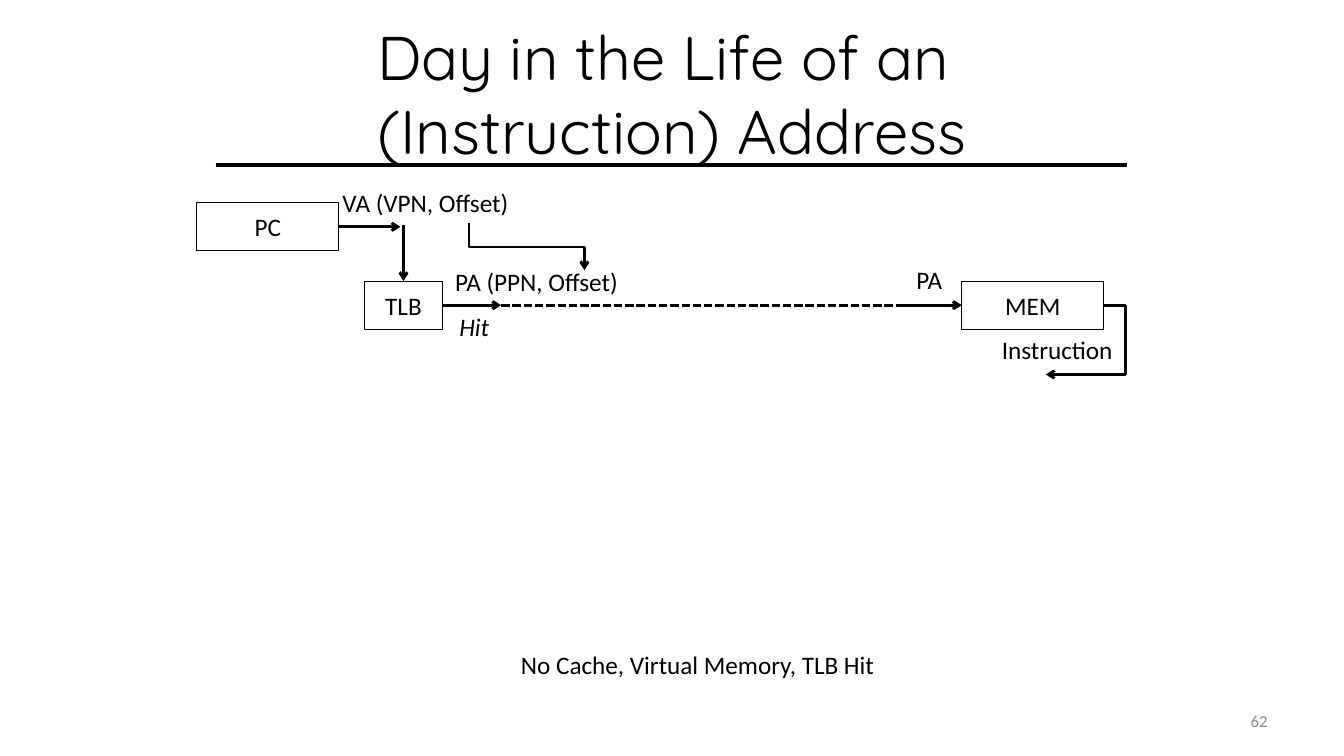
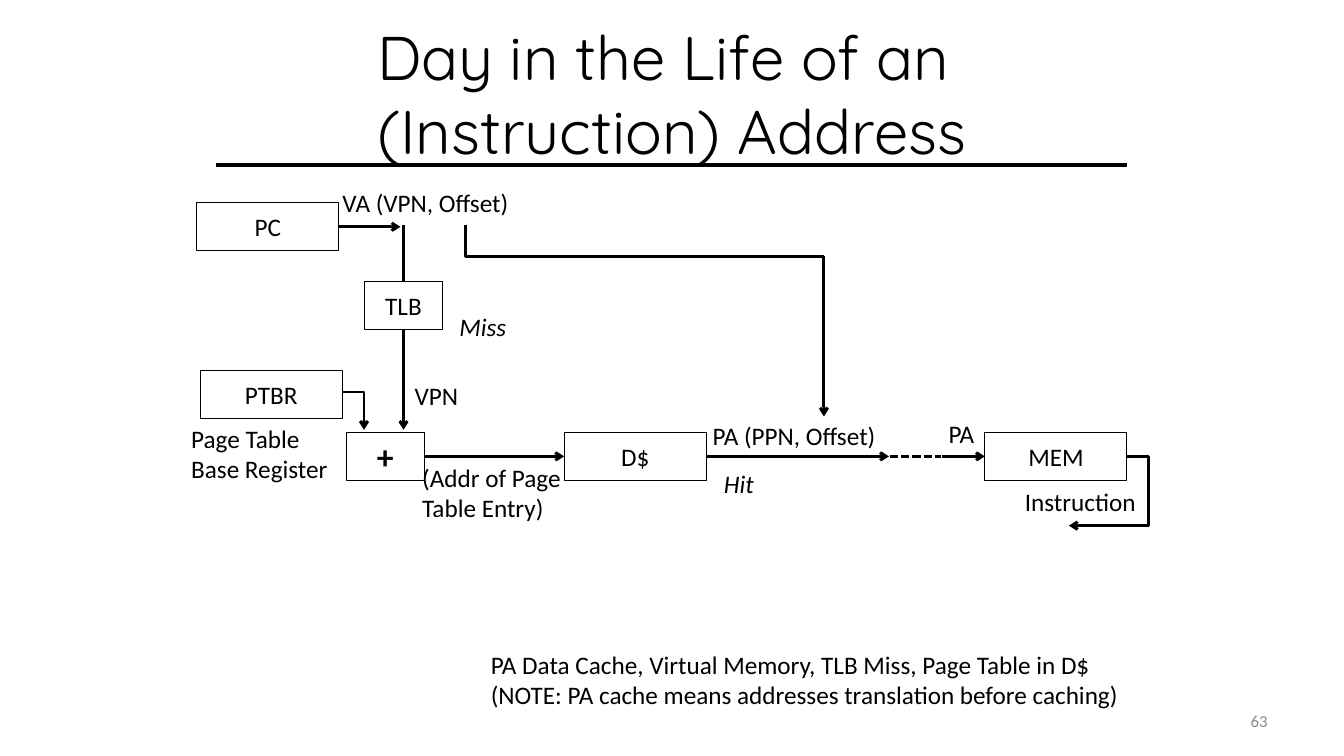
import pptx
import pptx.util
import pptx.dml.color
import pptx.enum.dml
import pptx.enum.shapes
import pptx.enum.text
import pptx.oxml.ns
import lxml.etree

Pt = pptx.util.Pt
ALIGN = pptx.enum.text.PP_ALIGN
MIDDLE = pptx.enum.text.MSO_ANCHOR.MIDDLE
FIT = pptx.enum.text.MSO_AUTO_SIZE
SHAPE = pptx.enum.shapes.MSO_SHAPE
STRAIGHT = pptx.enum.shapes.MSO_CONNECTOR.STRAIGHT
BLACK = pptx.dml.color.RGBColor(0x00, 0x00, 0x00)
GREY = pptx.dml.color.RGBColor(0x8C, 0x8C, 0x8C)
TITLE = "Day in the Life of an \v(Instruction) Address"
WIDE, SMALL, HIGH = 101.5, 55.5, 34.5
TOP, LEFT, BOTTOM, RIGHT = range(4)
PLAIN, HEAD, DASH = "plain", "head", "dash"


def write(frame, text, size=18, align=ALIGN.LEFT, color=BLACK, face="Calibri",
          bold=False, slant=False):
    frame.text = text
    for para in frame.paragraphs:
        para.alignment = align
        font = para.font
        font.name, font.size, font.color.rgb = face, Pt(size), color
        font.bold, font.italic = bold, slant


def stroke(shape, kind, width=2):
    """Style a line or open path, with an arrowhead or dashes by kind."""
    shape.line.color.rgb = BLACK
    shape.line.width = Pt(width)
    qn = pptx.oxml.ns.qn
    if kind == DASH:
        shape.line.dash_style = pptx.enum.dml.MSO_LINE.SQUARE_DOT
    if kind == HEAD:
        tail = lxml.etree.SubElement(shape.line._get_or_add_ln(), qn("a:tailEnd"))
        tail.set("type", "arrow")
    props = shape._element.spPr
    if props.find(qn("a:effectLst")) is None:
        lxml.etree.SubElement(props, qn("a:effectLst"))


# Boxes: name, left, middle height, width
# Labels: text, left, top, width, slanted
# Lines: start, end, kind; an end is a point or a box name with a side
# Bends: corner points of an arrow
pages = [
    {
        "page": "62",
        "mem": (687, 218),
        "boxes": [],
        "labels": [
            ("PA", 647.5, 185, 33, False),
            ("Hit", 321, 219, 36, True),
            ("No Cache, Virtual Memory, TLB Hit", 365, 460, 270, False),
            ("PA (PPN, Offset)", 318, 187, 132, False),
        ],
        "lines": [
            ((288.25, 160.5), ("TLB", TOP), HEAD),
            (("TLB", RIGHT), (358, 218), HEAD),
            ((358, 218), (644, 218), DASH),
            ((643, 218), ("MEM", LEFT), HEAD),
        ],
        "bends": [[(335, 159), (335, 176.5), (417.5, 176.5), (417.5, 193)]],
    },
    {
        "page": "63",
        "mem": (703.5, 326),
        "boxes": [
            ("PTBR", 143, 282, WIDE),
            ("+", 247.5, 326, SMALL),
            ("D$", 403, 326, WIDE),
        ],
        "labels": [
            ("(Addr of Page\vTable Entry)", 294.5, 326.5, 114.5, False),
            ("PA", 670.5, 295, 33, False),
            ("PA Data Cache, Virtual Memory, TLB Miss, Page Table in D$\n"
             "(NOTE: PA cache means addresses translation before caching)",
             343.5, 460, 468, False),
            ("Page Table\vBase Register", 129.5, 299, 113, False),
            ("VPN", 289, 268, 46, False),
            ("PA (PPN, Offset)", 502, 296.5, 132, False),
            ("Miss", 321, 219, 48, True),
            ("Hit", 510, 331, 36, True),
        ],
        "lines": [
            ((288.25, 160.5), ("TLB", TOP), PLAIN),
            (("TLB", BOTTOM), (288.25, 307), HEAD),
            (("+", RIGHT), ("D$", LEFT), HEAD),
            (("D$", RIGHT), (635, 326), HEAD),
            ((635.5, 326), (672, 326), DASH),
            ((673, 326), ("MEM", LEFT), HEAD),
        ],
        "bends": [
            [(244.5, 280), (260, 280), (260, 307)],
            [(332.5, 160.5), (332.5, 183.5), (588.5, 183.5), (588.5, 297.5)],
        ],
    },
]

deck = pptx.Presentation()
deck.slide_width, deck.slide_height = Pt(960), Pt(540)

for page in pages:
    slide = deck.slides.add_slide(deck.slide_layouts[5])
    shapes = slide.shapes
    mx, my = page["mem"]

    title = shapes.title
    title.left, title.top, title.width, title.height = Pt(48), Pt(21.5), Pt(864), Pt(90)
    title.text_frame.auto_size = FIT.NONE
    title.text_frame.vertical_anchor = MIDDLE
    write(title.text_frame, TITLE, 44, ALIGN.CENTER, face="Quicksand")
    rule = shapes.add_connector(STRAIGHT, Pt(154), Pt(118), Pt(805), Pt(118))
    stroke(rule, PLAIN, 3)

    foot = shapes.add_textbox(Pt(688.5), Pt(500.5), Pt(224), Pt(29)).text_frame
    foot.word_wrap = True
    foot.vertical_anchor = MIDDLE
    write(foot, page["page"], 12, ALIGN.RIGHT, GREY)

    boxes = {}
    shared = [("PC", 140.5, 162, WIDE), ("TLB", 260.5, 218, SMALL), ("MEM", mx, my, WIDE)]
    for name, left, mid, width in shared + page["boxes"]:
        box = shapes.add_shape(SHAPE.RECTANGLE, Pt(left), Pt(mid - HIGH / 2),
                               Pt(width), Pt(HIGH))
        box.shadow.inherit = False
        box.fill.background()
        box.line.color.rgb = BLACK
        box.line.width = Pt(0.75)
        box.text_frame.vertical_anchor = MIDDLE
        plus = name == "+"
        write(box.text_frame, name, 24 if plus else 18, ALIGN.CENTER, bold=plus)
        boxes[name] = box

    shared = [
        ("VA (VPN, Offset)", 237.5, 130.5, 134, False),
        ("Instruction", mx + 21.5, my + 17.5, 94.5, False),
    ]
    for text, left, top, width, slant in shared + page["labels"]:
        rows = len(text.splitlines())
        label = shapes.add_textbox(Pt(left), Pt(top), Pt(width), Pt(7 + 22 * rows))
        label.text_frame.word_wrap = False
        label.text_frame.auto_size = FIT.SHAPE_TO_FIT_TEXT
        write(label.text_frame, text, slant=slant)

    for start, end, kind in [(("PC", RIGHT), (286, 162), HEAD)] + page["lines"]:
        line = shapes.add_connector(STRAIGHT, 0, 0, 0, 0)
        if start[0] in boxes:
            line.begin_connect(boxes[start[0]], start[1])
        else:
            line.begin_x, line.begin_y = Pt(start[0]), Pt(start[1])
        if end[0] in boxes:
            line.end_connect(boxes[end[0]], end[1])
        else:
            line.end_x, line.end_y = Pt(end[0]), Pt(end[1])
        stroke(line, kind)

    fetch = [(mx + WIDE, my), (mx + 117, my), (mx + 117, my + 49.5), (mx + 60, my + 49.5)]
    for bend in [fetch] + page["bends"]:
        spots = [(Pt(x), Pt(y)) for x, y in bend]
        pen = shapes.build_freeform(*spots[0], scale=1.0)
        pen.add_line_segments(spots[1:], close=False)
        route = pen.convert_to_shape()
        route.fill.background()
        stroke(route, HEAD)

deck.save("out.pptx")
